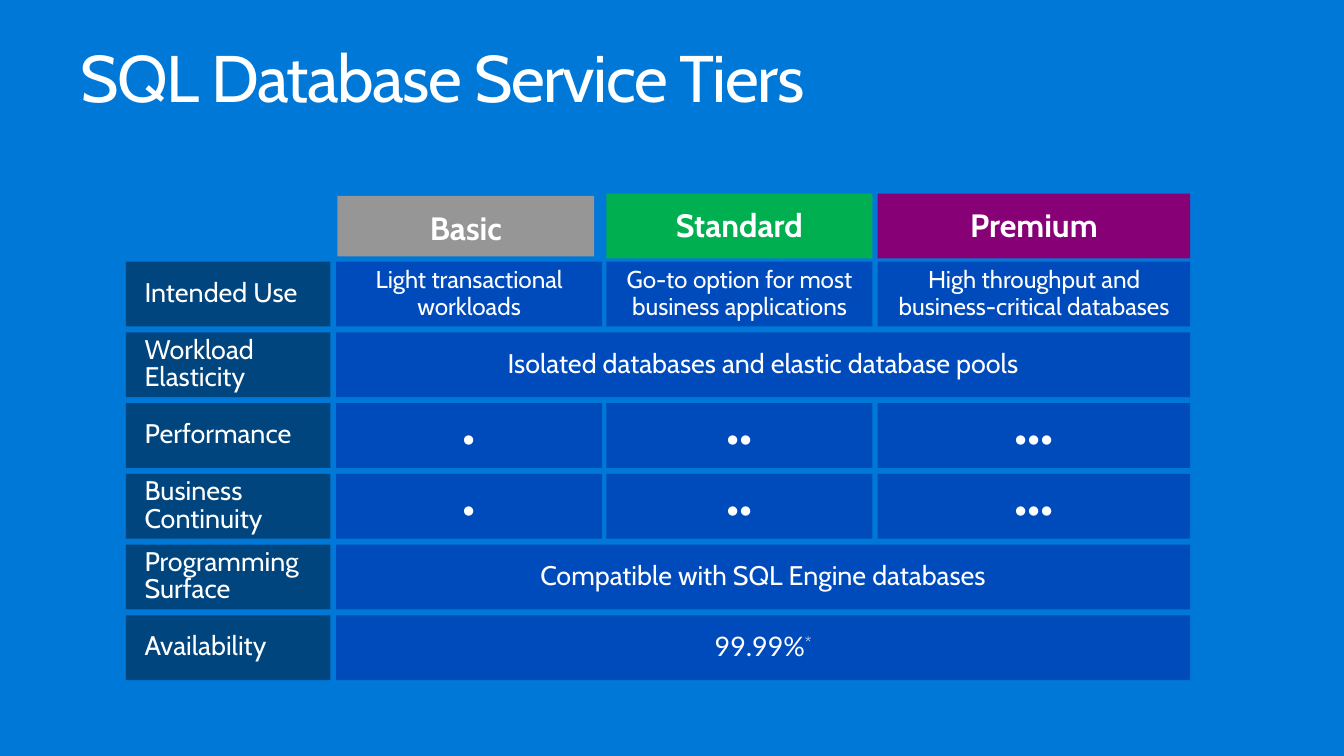
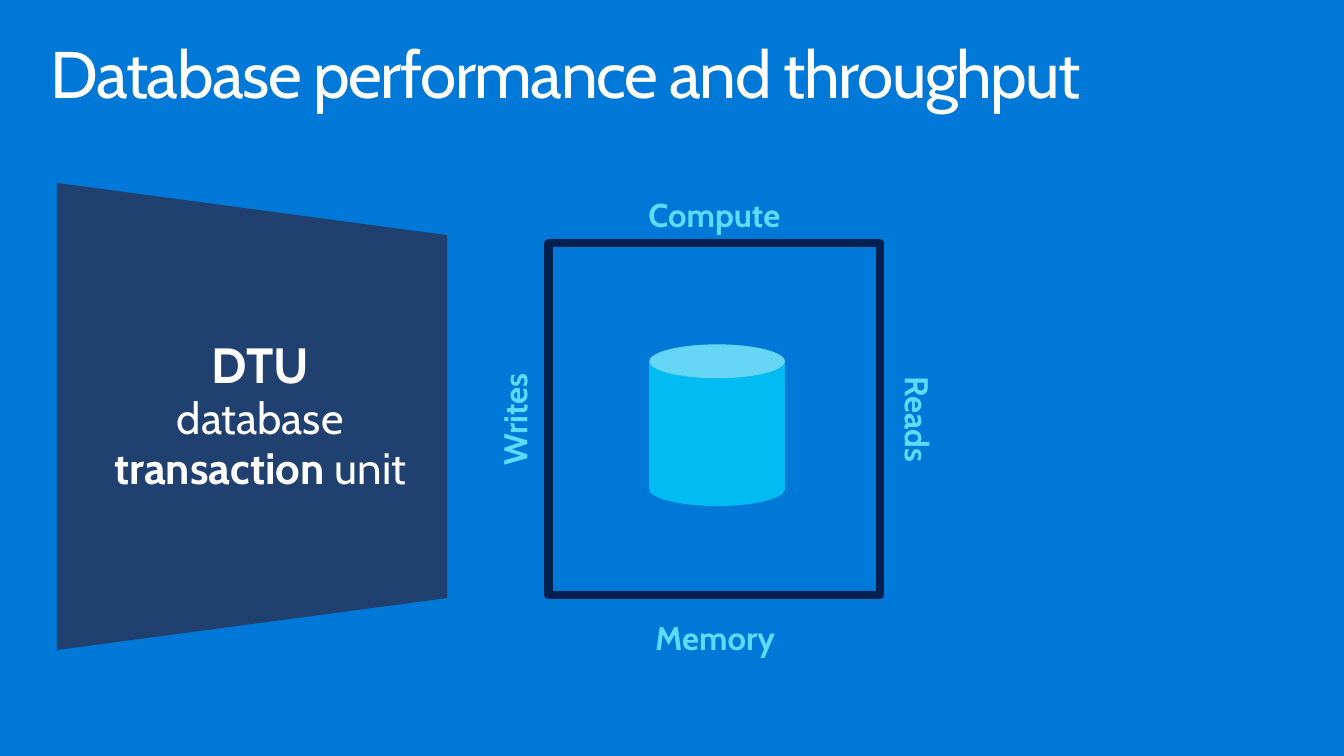
"""Build two slides on database service tiers and throughput."""
from dataclasses import dataclass
from typing import NamedTuple

from pptx import Presentation
from pptx.dml.color import RGBColor
from pptx.enum.shapes import MSO_SHAPE
from pptx.enum.text import MSO_ANCHOR, MSO_AUTO_SIZE, PP_ALIGN
from pptx.util import Pt

HUES = {
    "back": "0078D7", "white": "FFFFFF", "cell": "004BBC", "label": "00457E",
    "grey": "969696", "green": "00B050", "plum": "870076", "navy": "002050",
    "panel": "20406F", "cyan": "00BCF2", "sky": "5EDBFF",
}
FONT = "Cabin"


class Box(NamedTuple):
    left: float
    top: float
    width: float
    height: float


class Part(NamedTuple):
    text: str
    size: float
    bold: bool = False
    font: str = FONT
    hue: str = "white"


@dataclass(frozen=True)
class Style:
    align: PP_ALIGN = PP_ALIGN.CENTER
    anchor: MSO_ANCHOR = MSO_ANCHOR.MIDDLE
    space: float = 0.9
    left: float = 10
    right: float = 10
    edge: float = 8.64


@dataclass(frozen=True)
class Row:
    label: str
    cells: tuple[str, ...]
    size: float = 14.4
    space: float = 0.9
    font: str = FONT


class Head(NamedTuple):
    text: str
    hue: str
    box: Box


class Side(NamedTuple):
    text: str
    box: Box
    turn: int = 0


CELL = Style()
LABEL = Style(PP_ALIGN.LEFT, space=0.85)
HEAD = Style(anchor=MSO_ANCHOR.TOP)
TITLE = Style(PP_ALIGN.LEFT, MSO_ANCHOR.TOP, left=11.52, right=11.52, edge=7.2)
SIDE = Style(anchor=MSO_ANCHOR.TOP, space=1, left=7.2, right=7.2, edge=3.6)
PANEL = Style(space=0.95, left=10.8, right=2)

COLS = ((180, 142.6), (324.8, 142.6), (470.2, 167.4))
SPAN = 457.6
TOP, STEP, HIGH = 140.2, 37.9, 34.7
HEADS = (
    Head("Basic", "grey", Box(180.8, 105, 137.6, 32.4)),
    Head("Standard", "green", Box(324.8, 103.8, 142.6, HIGH)),
    Head("Premium", "plum", Box(470.2, 103.8, 167.4, HIGH)),
)
DOTS = ("•", "••", "•••")
ROWS = (
    Row("Intended Use", ("Light transactional workloads",
                         "Go-to option for most business applications",
                         "High throughput and business-critical databases"), 13),
    Row("Workload Elasticity", ("Isolated databases and elastic database pools",)),
    Row("Performance", DOTS, 23.1, 1),
    Row("Business Continuity", DOTS, 23.1, 1),
    Row("Programming\vSurface", ("Compatible with SQL Engine databases",)),
    Row("Availability", ("99.99%",), font="Lato"),
)
SIDES = (
    Side("Compute", Box(337, 100.8, 91.4, 28.8)),
    Side("Writes", Box(241.2, 210.2, 69.1, 28.8), 270),
    Side("Reads", Box(459.4, 210.2, 64.1, 28.8), 90),
    Side("Memory", Box(340.6, 327.6, 85, 28.8)),
)


def tint(name: str) -> RGBColor:
    """Return a named colour."""
    return RGBColor.from_string(HUES[name])


def place(box: Box) -> list:
    """Turn a box into lengths."""
    return [Pt(side) for side in box]


def dress(run, part: Part) -> None:
    """Format one run."""
    font = run.font
    font.name, font.size, font.bold = part.font, Pt(part.size), part.bold
    font.color.rgb = tint(part.hue)


def add_part(para, part: Part):
    """Append a formatted run."""
    run = para.add_run()
    run.text = part.text
    dress(run, part)
    return run


def write(shape, part: Part, style: Style):
    """Fill a shape with one styled paragraph."""
    frame = shape.text_frame
    frame.word_wrap, frame.auto_size = True, MSO_AUTO_SIZE.NONE
    frame.vertical_anchor = style.anchor
    frame.margin_left, frame.margin_right = Pt(style.left), Pt(style.right)
    frame.margin_top = frame.margin_bottom = Pt(style.edge)
    frame.text = part.text
    para = frame.paragraphs[0]
    para.alignment, para.line_spacing = style.align, style.space
    for run in para.runs:
        dress(run, part)
    return para


def paint(shape, hue: str) -> None:
    """Give a shape a flat fill without outline or shadow."""
    shape.shadow.inherit = False
    shape.fill.solid()
    shape.fill.fore_color.rgb = tint(hue)
    shape.line.fill.background()


def add_block(shapes, box: Box, hue: str, kind=MSO_SHAPE.RECTANGLE):
    """Draw a flat shape."""
    shape = shapes.add_shape(kind, *place(box))
    paint(shape, hue)
    return shape


def add_slide(deck, text: str, box: Box):
    """Add a slide with its title."""
    slide = deck.slides.add_slide(deck.slide_layouts[5])
    title = slide.shapes.title
    title.left, title.top, title.width, title.height = place(box)
    para = write(title, Part(text, 35.3), TITLE)
    para.runs[0]._r.get_or_add_rPr().set("spc", "-80")
    return slide


def add_row(shapes, row: Row, top: float) -> None:
    """Draw a label and its cells, or one cell across all columns."""
    label = add_block(shapes, Box(67.5, top, 109.6, HIGH), "label")
    write(label, Part(row.label, 14.4), LABEL)
    cols = COLS if len(row.cells) > 1 else ((COLS[0][0], SPAN),)
    for spot, ((left, width), text) in enumerate(zip(cols, row.cells)):
        cell = add_block(shapes, Box(left, top, width, HIGH), "cell")
        inset = 5 if row.size == 13 and spot else 10
        style = Style(space=row.space, left=inset, right=inset)
        para = write(cell, Part(text, row.size, font=row.font), style)
        if row.label == "Availability":
            star = add_part(para, Part("*", row.size))
            star._r.get_or_add_rPr().set("baseline", "30000")


def add_tiers(deck) -> None:
    """Build the tier grid."""
    slide = add_slide(deck, "SQL Database Service Tiers", Box(31.7, 17.3, 688.3, 53.3))
    group = slide.shapes.add_group_shape()
    for head in HEADS:
        block = add_block(group.shapes, head.box, head.hue)
        write(block, Part(head.text, 17.3, True), HEAD)
    for spot, row in enumerate(ROWS):
        add_row(slide.shapes, row, TOP + spot * STEP)


def add_panel(shapes) -> None:
    """Draw the slanted panel that explains the unit."""
    pen = shapes.build_freeform(Pt(30.5), Pt(98))
    pen.add_line_segments([(Pt(x), Pt(y)) for x, y in
                           ((239.5, 126), (239.5, 320.4), (30.5, 348.2))])
    panel = pen.convert_to_shape()
    paint(panel, "panel")
    para = write(panel, Part("DTU\v", 26.5, True), PANEL)
    for part in (Part("database ", 23.5), Part("transaction ", 23.5, True),
                 Part("unit", 23.5)):
        add_part(para, part)


def add_flow(deck) -> None:
    """Build the throughput slide."""
    slide = add_slide(deck, "Database performance and throughput",
                      Box(15.8, 15.1, 688.3, 53.3))
    shapes = slide.shapes
    frame = shapes.add_shape(MSO_SHAPE.RECTANGLE, *place(Box(293.8, 130.3, 177.8, 188.6)))
    frame.shadow.inherit = False
    frame.fill.background()
    frame.line.color.rgb, frame.line.width = tint("navy"), Pt(4.5)
    for side in SIDES:
        text = shapes.add_textbox(*place(side.box))
        text.rotation = side.turn
        write(text, Part(side.text, 17.6, True, hue="sky"), SIDE)
        text.text_frame.word_wrap = False
        text.text_frame.auto_size = MSO_AUTO_SIZE.SHAPE_TO_FIT_TEXT
    add_panel(shapes)
    add_block(shapes, Box(347.8, 184.5, 72.7, 86.6), "cyan", MSO_SHAPE.CAN)


def main() -> None:
    """Build and save the deck."""
    deck = Presentation()
    deck.slide_width, deck.slide_height = Pt(720), Pt(405)
    fill = deck.slide_master.background.fill
    fill.solid()
    fill.fore_color.rgb = tint("back")
    add_tiers(deck)
    add_flow(deck)
    deck.save("out.pptx")


if __name__ == "__main__":
    main()
